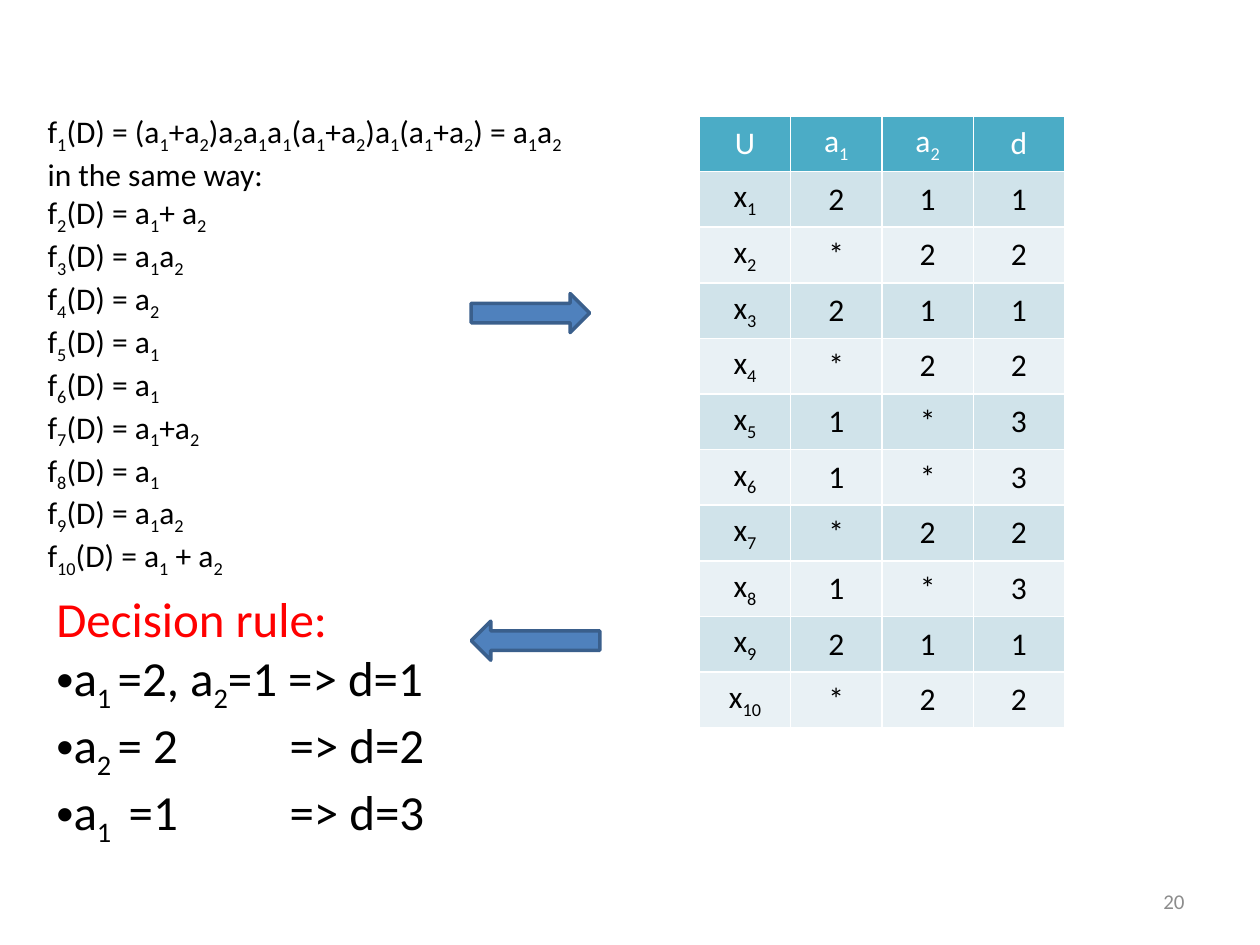
from lxml import etree
from pptx import Presentation
from pptx.dml.color import RGBColor
from pptx.enum import shapes, text
from pptx.oxml import ns
from pptx.util import Inches, Pt

BLACK = RGBColor(0x00, 0x00, 0x00)
WHITE = RGBColor(0xFF, 0xFF, 0xFF)
RED = RGBColor(0xFF, 0x00, 0x00)
GRAY = RGBColor(0x8C, 0x8C, 0x8C)
HEADER_TEAL = RGBColor(0x4B, 0xAC, 0xC6)
BAND_DARK = RGBColor(0xD0, 0xE3, 0xEA)
BAND_LIGHT = RGBColor(0xE9, 0xF1, 0xF5)
ARROW_FILL = RGBColor(0x4F, 0x81, 0xBD)
ARROW_LINE = RGBColor(0x3A, 0x5F, 0x8C)


def write_formula(paragraph, formula, size, color):
    """Write a formula whose subscripts stand between vertical bars."""
    formatting = {"name": "Calibri", "size": Pt(size), "bold": False}
    for index, part in enumerate(formula.split("|")):
        if not part:
            continue
        run = paragraph.add_run()
        run.text = part
        for attribute, value in formatting.items():
            setattr(run.font, attribute, value)
        run.font.color.rgb = color
        if index % 2:
            run.font._element.set("baseline", "-25000")


def add_text_frame(left, top, width, height):
    frame = slide.shapes.add_textbox(
        Inches(left), Inches(top), Inches(width), Inches(height)).text_frame
    frame.word_wrap = True
    return frame


prs = Presentation()
prs.slide_width, prs.slide_height = Inches(10), Inches(7.5)
slide = prs.slides.add_slide(prs.slide_layouts[6])

# Discernibility functions
functions = [
    "f|1|(D) = (a|1|+a|2|)a|2|a|1|a|1|(a|1|+a|2|)a|1|(a|1|+a|2|) = a|1|a|2|",
    "in the same way:",
    "f|2|(D) = a|1|+ a|2|",
    "f|3|(D) = a|1|a|2|",
    "f|4|(D) = a|2|",
    "f|5|(D) = a|1|",
    "f|6|(D) = a|1|",
    "f|7|(D) = a|1|+a|2|",
    "f|8|(D) = a|1|",
    "f|9|(D) = a|1|a|2|",
    "f|10|(D) = a|1| + a|2|",
]
frame = add_text_frame(0.28, 0.84, 5.04, 3.43)
frame.auto_size = text.MSO_AUTO_SIZE.SHAPE_TO_FIT_TEXT
for index, formula in enumerate(functions):
    paragraph = frame.add_paragraph() if index else frame.paragraphs[0]
    write_formula(paragraph, formula, 18, BLACK)

# Reduced decision table: a1, a2 and d of each object
objects = ["211", "*22", "211", "*22", "1*3", "1*3", "*22", "1*3", "211", "*22"]
rows = [["U", "a|1|", "a|2|", "d"]]
rows += [[f"x|{number}|", *values] for number, values in enumerate(objects, 1)]
decision_table = slide.shapes.add_table(
    len(rows), 4, Inches(5.55), Inches(0.92), Inches(2.9), Inches(4.46)).table
for row_index, row in enumerate(rows):
    if row_index == 0:
        fill, color = HEADER_TEAL, WHITE
    else:
        fill, color = (BAND_DARK if row_index % 2 else BAND_LIGHT), BLACK
    for column_index, entry in enumerate(row):
        cell = decision_table.cell(row_index, column_index)
        cell.fill.solid()
        cell.fill.fore_color.rgb = fill
        cell.vertical_anchor = text.MSO_ANCHOR.MIDDLE
        paragraph = cell.text_frame.paragraphs[0]
        paragraph.alignment = text.PP_ALIGN.CENTER
        write_formula(paragraph, entry, 18, color)

# Arrows to the table and back to the rules
for preset, top, width in [
    (shapes.MSO_SHAPE.RIGHT_ARROW, 2.33, 0.94),
    (shapes.MSO_SHAPE.LEFT_ARROW, 4.93, 1.02),
]:
    arrow = slide.shapes.add_shape(
        preset, Inches(3.74), Inches(top), Inches(width), Inches(0.31))
    arrow.shadow.inherit = False
    arrow.fill.solid()
    arrow.fill.fore_color.rgb = ARROW_FILL
    arrow.line.color.rgb = ARROW_LINE
    arrow.line.width = Pt(2)

# Decision rules, with the conclusions lined up at a tab stop
rules = ["a|1 |=2, a|2|=1 => d=1", "a|2 |= 2\t=> d=2", "a|1 | =1\t=> d=3"]
frame = add_text_frame(0.35, 4.62, 3.46, 1.99)
frame.auto_size = text.MSO_AUTO_SIZE.SHAPE_TO_FIT_TEXT
write_formula(frame.paragraphs[0], "Decision rule:", 28, RED)
for rule in rules:
    paragraph = frame.add_paragraph()
    properties = paragraph._p.get_or_add_pPr()
    etree.SubElement(properties, ns.qn("a:buFont"), typeface="Arial")
    etree.SubElement(properties, ns.qn("a:buChar"), char="•")
    tabs = etree.SubElement(properties, ns.qn("a:tabLst"))
    etree.SubElement(tabs, ns.qn("a:tab"), pos=str(Inches(1.85)), algn="l")
    write_formula(paragraph, rule, 28, BLACK)

# Slide number
frame = add_text_frame(7.17, 6.95, 2.33, 0.4)
frame.vertical_anchor = text.MSO_ANCHOR.MIDDLE
frame.paragraphs[0].alignment = text.PP_ALIGN.RIGHT
write_formula(frame.paragraphs[0], "20", 12, GRAY)

prs.save("out.pptx")
